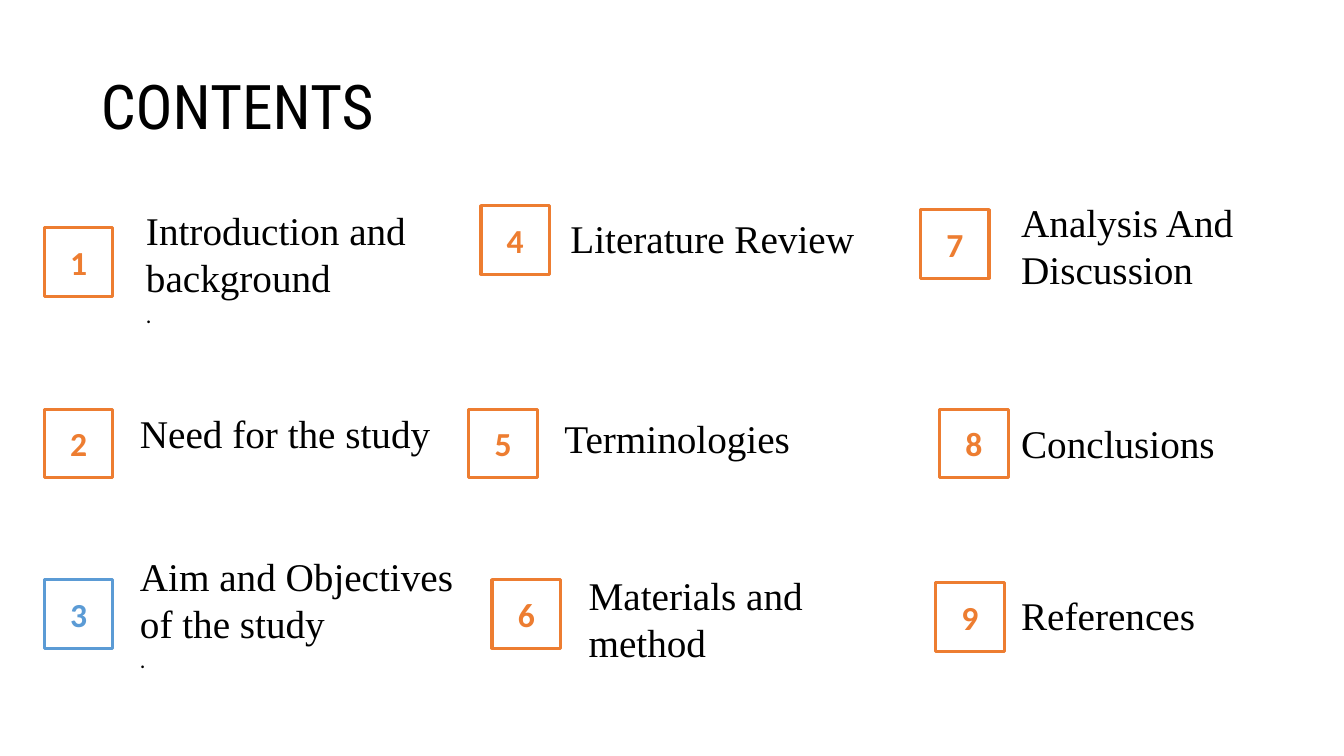
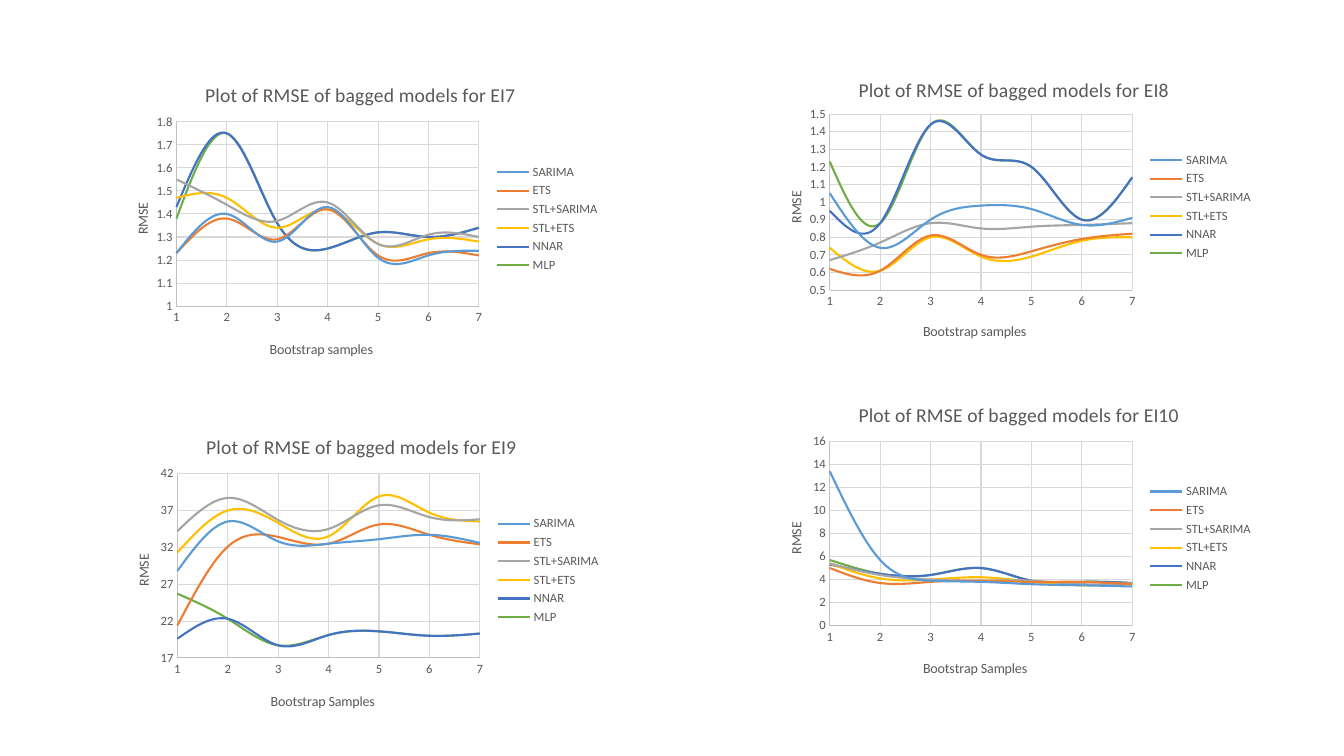
from dataclasses import dataclass

from lxml.etree import SubElement
from pptx import Presentation
from pptx.chart.data import XyChartData
from pptx.dml.color import RGBColor
from pptx.enum.chart import XL_CHART_TYPE, XL_LEGEND_POSITION, XL_MARKER_STYLE, XL_TICK_MARK
from pptx.enum.shapes import MSO_SHAPE
from pptx.enum.text import MSO_ANCHOR, MSO_AUTO_SIZE, PP_ALIGN
from pptx.oxml.ns import qn
from pptx.util import Inches, Pt


@dataclass(frozen=True)
class Theme:
    head: str = "Roboto Condensed"
    serif: str = "Times New Roman"
    sans: str = "Calibri"
    ink: str = "000000"
    gray: str = "595959"
    axis: str = "BFBFBF"
    grid: str = "D9D9D9"
    blue: str = "5B9BD5"
    orange: str = "ED7D31"
    silver: str = "A5A5A5"
    gold: str = "FFC000"
    navy: str = "4472C4"
    green: str = "70AD47"
    title: float = 44
    item: float = 28
    badge: float = 24
    dot: float = 16
    plot: float = 14
    label: float = 10
    tick: float = 9


THEME = Theme()
WIDTH, HEIGHT = 13.33, 7.5
BADGE, ITEM = 0.68, 3.36

# number, badge left and top, text left and top, text height, text
ITEMS = [
    (1, 0.44, 2.26, 1.35, 2.00, 1.31, ["Introduction and background", "."]),
    (2, 0.44, 4.06, 1.29, 4.01, 0.57, ["Need for the study"]),
    (3, 0.44, 5.75, 1.29, 5.43, 1.31, ["Aim and Objectives of the study", "."]),
    (4, 4.77, 2.04, 5.56, 2.08, 0.57, ["Literature Review"]),
    (5, 4.65, 4.06, 5.50, 4.06, 0.57, ["Terminologies"]),
    (6, 4.88, 5.75, 5.74, 5.62, 1.04, ["Materials and method"]),
    (7, 9.13, 2.08, 10.03, 1.92, 1.04, ["Analysis And Discussion"]),
    (8, 9.32, 4.06, 10.03, 4.11, 0.57, ["Conclusions"]),
    (9, 9.28, 5.78, 10.03, 5.82, 0.57, ["References"]),
]

MODELS = {
    "SARIMA": THEME.blue,
    "ETS": THEME.orange,
    "STL+SARIMA": THEME.silver,
    "STL+ETS": THEME.gold,
    "NNAR": THEME.navy,
    "MLP": THEME.green,
}

# name, box, x label, value range and step, one row per model
PLOTS = [
    ("EI7", (1.05, 0.62, 5, 3.1), "Bootstrap samples", (1, 1.8, 0.1), [
        (1.23, 1.4, 1.28, 1.43, 1.21, 1.22, 1.24),
        (1.23, 1.38, 1.29, 1.42, 1.22, 1.23, 1.22),
        (1.55, 1.44, 1.37, 1.45, 1.27, 1.31, 1.3),
        (1.47, 1.47, 1.34, 1.42, 1.27, 1.29, 1.28),
        (1.43, 1.75, 1.36, 1.25, 1.32, 1.3, 1.34),
        (1.38, 1.75, 1.36, 1.25, 1.32, 1.3, 1.34),
    ]),
    ("EI8", (7.53, 0.57, 5, 2.96), "Bootstrap samples", (0.5, 1.5, 0.1), [
        (1.05, 0.74, 0.9, 0.98, 0.96, 0.87, 0.91),
        (0.62, 0.61, 0.81, 0.7, 0.72, 0.79, 0.82),
        (0.67, 0.77, 0.88, 0.85, 0.86, 0.87, 0.88),
        (0.74, 0.61, 0.8, 0.69, 0.69, 0.78, 0.8),
        (0.95, 0.88, 1.44, 1.27, 1.2, 0.9, 1.14),
        (1.23, 0.88, 1.44, 1.27, 1.2, 0.9, 1.14),
    ]),
    ("EI9", (1.06, 4.11, 5, 3.1), "Bootstrap Samples", (17, 42, 5), [
        (28.8, 35.5, 32.8, 32.5, 33.1, 33.7, 32.6),
        (21.4, 32.1, 33.4, 32.5, 35.1, 33.7, 32.4),
        (34.2, 38.7, 35.7, 34.5, 37.7, 36.1, 35.8),
        (31.3, 37, 35.3, 33.5, 38.9, 36.7, 35.5),
        (19.6, 22.3, 18.7, 20.1, 20.6, 20, 20.3),
        (25.7, 22.3, 18.7, 20.1, 20.6, 20, 20.3),
    ]),
    ("EI10", (7.53, 3.79, 5, 3.1), "Bootstrap Samples", (0, 16, 2), [
        (13.4, 5.7, 3.9, 3.8, 3.6, 3.5, 3.4),
        (5, 3.7, 3.8, 3.9, 3.8, 3.8, 3.6),
        (5.4, 4.4, 4, 3.9, 3.9, 3.6, 3.7),
        (5.4, 4.1, 4, 4.2, 3.8, 3.5, 3.6),
        (5.3, 4.5, 4.4, 5, 3.9, 3.8, 3.7),
        (5.7, 4.5, 4.4, 5, 3.9, 3.8, 3.7),
    ]),
]


def style(font, face, size, color, bold=False):
    font.name, font.size, font.bold = face, Pt(size), bold
    font.color.rgb = RGBColor.from_string(color)


def write(para, text, face, size, color, bold=False):
    run = para.add_run()
    run.text = text
    style(run.font, face, size, color, bold)


def stroke(line, color, width):
    line.color.rgb = RGBColor.from_string(color)
    line.width = Pt(width)


def add_title(slide, text, box):
    title = slide.shapes.title
    title.left, title.top, title.width, title.height = map(Inches, box)
    frame = title.text_frame
    frame.auto_size = MSO_AUTO_SIZE.NONE
    frame.vertical_anchor = MSO_ANCHOR.MIDDLE
    frame.margin_left = Inches(0.79)
    para = frame.paragraphs[0]
    para.alignment, para.line_spacing = PP_ALIGN.LEFT, 0.9
    write(para, text, THEME.head, THEME.title, THEME.ink)


def add_badge(slide, num, left, top, color):
    box = map(Inches, (left, top, BADGE, BADGE))
    badge = slide.shapes.add_shape(MSO_SHAPE.RECTANGLE, *box)
    badge.shadow.inherit = False
    badge.fill.background()
    stroke(badge.line, color, 2.25)
    frame = badge.text_frame
    frame.vertical_anchor = MSO_ANCHOR.MIDDLE
    para = frame.paragraphs[0]
    para.alignment = PP_ALIGN.CENTER
    write(para, str(num), THEME.sans, THEME.badge, color, True)


def add_item(slide, lines, left, top, height):
    width = min(ITEM, WIDTH - left)
    box = slide.shapes.add_textbox(*map(Inches, (left, top, width, height)))
    frame = box.text_frame
    frame.word_wrap = True
    frame.auto_size = MSO_AUTO_SIZE.SHAPE_TO_FIT_TEXT
    write(frame.paragraphs[0], lines[0], THEME.serif, THEME.item, THEME.ink)
    for line in lines[1:]:
        write(frame.add_paragraph(), line, THEME.sans, THEME.dot, THEME.ink)


def set_layout(node, **parts):
    """Place a chart part by fractions of the chart's size."""
    for old in node.findall(qn("c:layout")):
        node.remove(old)
    layout = SubElement(node, qn("c:layout"))
    node.insert(0 if node.find(qn("c:tx")) is None else 1, layout)
    manual = SubElement(layout, qn("c:manualLayout"))
    if "w" in parts:
        SubElement(manual, qn("c:layoutTarget")).set("val", "inner")
    for key in ("x", "y"):
        SubElement(manual, qn(f"c:{key}Mode")).set("val", "edge")
    for key, val in parts.items():
        SubElement(manual, qn(f"c:{key}")).set("val", str(val))


def set_label(title, text, size, x, y, turn=0):
    frame = title.text_frame
    write(frame.paragraphs[0], text, THEME.sans, size, THEME.gray)
    body = frame._txBody.bodyPr
    body.set("rot", str(turn * 60000))
    body.set("vert", "horz")
    set_layout(title._element, x=x, y=y)


def set_axis(axis, low, high, step):
    axis.minimum_scale, axis.maximum_scale, axis.major_unit = low, high, step
    axis.major_tick_mark = axis.minor_tick_mark = XL_TICK_MARK.NONE
    axis.has_major_gridlines = True
    stroke(axis.major_gridlines.format.line, THEME.grid, 0.75)
    stroke(axis.format.line, THEME.axis, 0.75)
    axis.tick_labels.number_format = "General"
    axis.tick_labels.number_format_is_linked = False
    style(axis.tick_labels.font, THEME.sans, THEME.tick, THEME.gray)


def add_plot(slide, name, box, label, span, rows):
    data = XyChartData()
    for model, row in zip(MODELS, rows):
        series = data.add_series(model)
        for x, y in enumerate(row, 1):
            series.add_data_point(x, y)
    chart = slide.shapes.add_chart(
        XL_CHART_TYPE.XY_SCATTER_SMOOTH_NO_MARKERS, *map(Inches, box), data).chart
    style(chart.font, THEME.sans, THEME.label, THEME.ink)
    set_layout(chart._chartSpace.find(".//" + qn("c:plotArea")),
               x=0.14, y=0.19, w=0.6, h=0.59)
    chart.has_title = True
    set_label(chart.chart_title, f"Plot of RMSE of bagged models for {name}",
              THEME.plot, 0.19, 0.05)
    set_axis(chart.category_axis, 1, 7, 1)
    set_axis(chart.value_axis, *span)
    set_label(chart.category_axis.axis_title, label, THEME.label, 0.32, 0.88)
    set_label(chart.value_axis.axis_title, "RMSE", THEME.label, 0.05, 0.44, -90)
    chart.has_legend = True
    chart.legend.position = XL_LEGEND_POSITION.RIGHT
    chart.legend.include_in_layout = False
    style(chart.legend.font, THEME.sans, THEME.tick, THEME.gray)
    plot = chart.plots[0]
    plot.vary_by_categories = False
    for series, color in zip(plot.series, MODELS.values()):
        stroke(series.format.line, color, 1.5)
        series.marker.style = XL_MARKER_STYLE.NONE
        node = series._element
        smooth = node.find(qn("c:smooth"))
        if smooth is None:
            smooth = SubElement(node, qn("c:smooth"))
        smooth.set("val", "1")


def add_contents(deck):
    slide = deck.slides.add_slide(deck.slide_layouts[5])
    add_title(slide, "CONTENTS", (0.21, 0.36, 11.5, 1.45))
    for num, left, top, text_left, text_top, height, lines in ITEMS:
        add_badge(slide, num, left, top, THEME.blue if num == 3 else THEME.orange)
        add_item(slide, lines, text_left, text_top, height)


def add_plots(deck):
    slide = deck.slides.add_slide(deck.slide_layouts[6])
    for plot in PLOTS:
        add_plot(slide, *plot)


def main():
    deck = Presentation()
    deck.slide_width, deck.slide_height = Inches(WIDTH), Inches(HEIGHT)
    add_contents(deck)
    add_plots(deck)
    deck.save("out.pptx")


if __name__ == "__main__":
    main()
